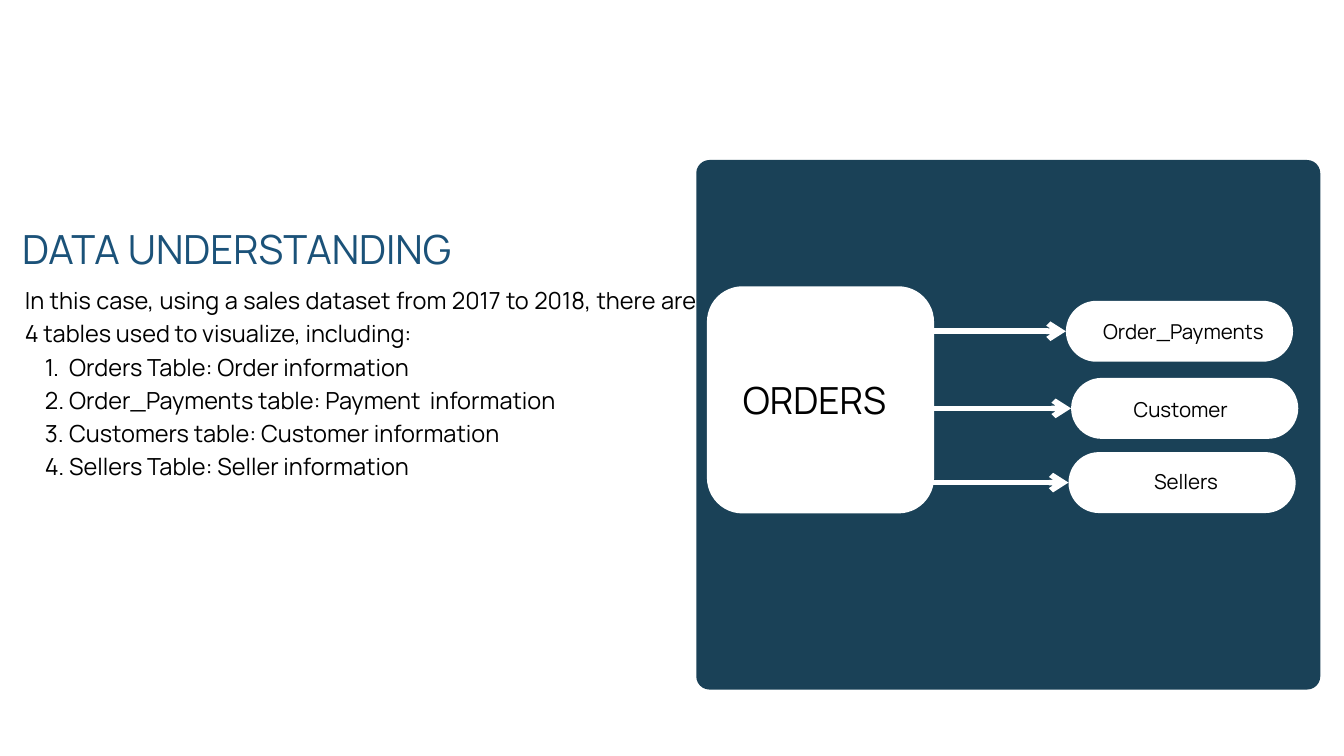
import pptx
import pptx.util
import pptx.dml.color
import pptx.enum.shapes
import pptx.enum.text
from dataclasses import dataclass
from lxml import etree
from pptx.oxml.ns import qn

Pt = pptx.util.Pt
RGB = pptx.dml.color.RGBColor.from_string
Align = pptx.enum.text.PP_ALIGN


@dataclass(frozen=True)
class Theme:
    font: str = "Manrope"
    navy: str = "1A4157"
    blue: str = "1B5279"
    black: str = "000000"
    white: str = "FFFFFF"
    title: float = 43
    hub: float = 40
    body: float = 25.2
    label: float = 22


theme = Theme()


def number(para, left, hang):
    """Make a paragraph an item of a numbered list."""
    props = para._p.get_or_add_pPr()
    props.set("marL", str(Pt(left)))
    props.set("indent", str(-Pt(hang)))
    etree.SubElement(props, qn("a:buAutoNum"), type="arabicPeriod")


def write(frame, lines, *, size, lead, color=theme.black, align=Align.LEFT, items=0):
    """Fill a text frame; the last `items` lines are numbered."""
    frame.margin_left = frame.margin_top = 0
    frame.margin_right = frame.margin_bottom = 0
    frame.word_wrap = True
    frame.auto_size = pptx.enum.text.MSO_AUTO_SIZE.NONE
    frame.vertical_anchor = pptx.enum.text.MSO_ANCHOR.TOP
    first = len(lines) - items
    for i, line in enumerate(lines):
        para = frame.paragraphs[0] if i == 0 else frame.add_paragraph()
        para.alignment = align
        para.line_spacing = Pt(lead)
        para.space_before = Pt(0)
        if i >= first:
            number(para, left=47.5, hang=26)
        run = para.add_run()
        run.text = line
        run.font.name = theme.font
        run.font.size = Pt(size)
        run.font.color.rgb = RGB(color)


def place(shape, left, top, width, height):
    shape.left, shape.top = Pt(left), Pt(top)
    shape.width, shape.height = Pt(width), Pt(height)


def text(slide, box, lines, **style):
    frame = slide.shapes.add_textbox(*map(Pt, box)).text_frame
    write(frame, lines, **style)


def block(slide, box, color, curve):
    """Add a plain rounded block; curve is the radius over the short side."""
    kind = pptx.enum.shapes.MSO_SHAPE.ROUNDED_RECTANGLE
    shape = slide.shapes.add_shape(kind, *map(Pt, box))
    shape.adjustments[0] = curve
    shape.fill.solid()
    shape.fill.fore_color.rgb = RGB(color)
    shape.line.fill.background()
    shape.shadow.inherit = False
    return shape


def arrow(slide, start, target):
    """Draw a level arrow from x = start to the left side of target."""
    mid = target.top + target.height // 2
    kind = pptx.enum.shapes.MSO_CONNECTOR.STRAIGHT
    line = slide.shapes.add_connector(kind, Pt(start), mid, target.left, mid)
    line.end_connect(target, 1)
    line.line.color.rgb = RGB(theme.white)
    line.line.width = Pt(6)
    etree.SubElement(line.line._get_or_add_ln(), qn("a:tailEnd"), type="arrow")
    etree.SubElement(line._element.spPr, qn("a:effectLst"))


def main():
    deck = pptx.Presentation()
    deck.slide_width, deck.slide_height = Pt(1440), Pt(810)
    slide = deck.slides.add_slide(deck.slide_layouts[5])

    # Title and description
    title = slide.shapes.title
    place(title, 23.8, 239, 517, 54)
    write(title.text_frame, ["DATA UNDERSTANDING"],
          size=theme.title, lead=52.5, color=theme.blue)

    # Panel with the central table
    block(slide, (746, 171.4, 668.6, 567.4), theme.navy, 0.025)
    block(slide, (757.4, 306.7, 243.4, 243.4), theme.white, 0.157)
    text(slide, (779.8, 396, 185.8, 56), ["ORDERS"],
         size=theme.hub, lead=56, align=Align.CENTER)

    text(slide, (26.6, 301.7, 720, 248.4), [
        "In this case, using a sales dataset from 2017 to 2018, "
        "there are 4 tables used to visualize, including:",
        "Orders Table: Order information",
        "Order_Payments table: Payment  information",
        "Customers table: Customer information",
        "Sellers Table: Seller information",
    ], size=theme.body, lead=35.4, align=Align.JUSTIFY, items=4)

    # Linked tables: name, pill left and top, label left and top
    links = [
        ("Order_Payments", 1142, 322.3, 1144.8, 337),
        ("Customer", 1147.6, 404.9, 1142, 420.5),
        ("Sellers", 1144.8, 484.4, 1147.6, 498.3),
    ]
    for name, left, top, x, y in links:
        pill = block(slide, (left, top, 243.4, 65.3), theme.white, 0.5)
        arrow(slide, left - 188, pill)
        text(slide, (x, y, 246.2, 31), [name],
             size=theme.label, lead=30.8, align=Align.CENTER)

    deck.save("out.pptx")


if __name__ == "__main__":
    main()
